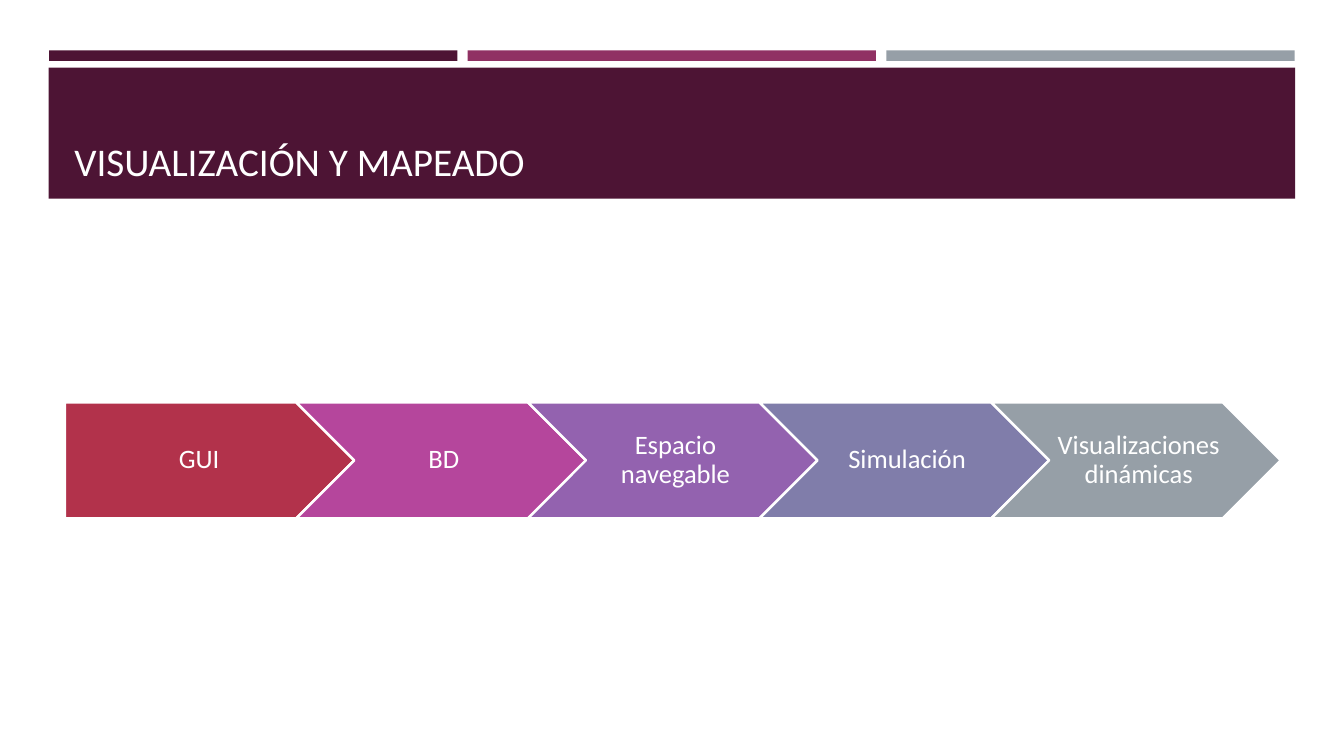
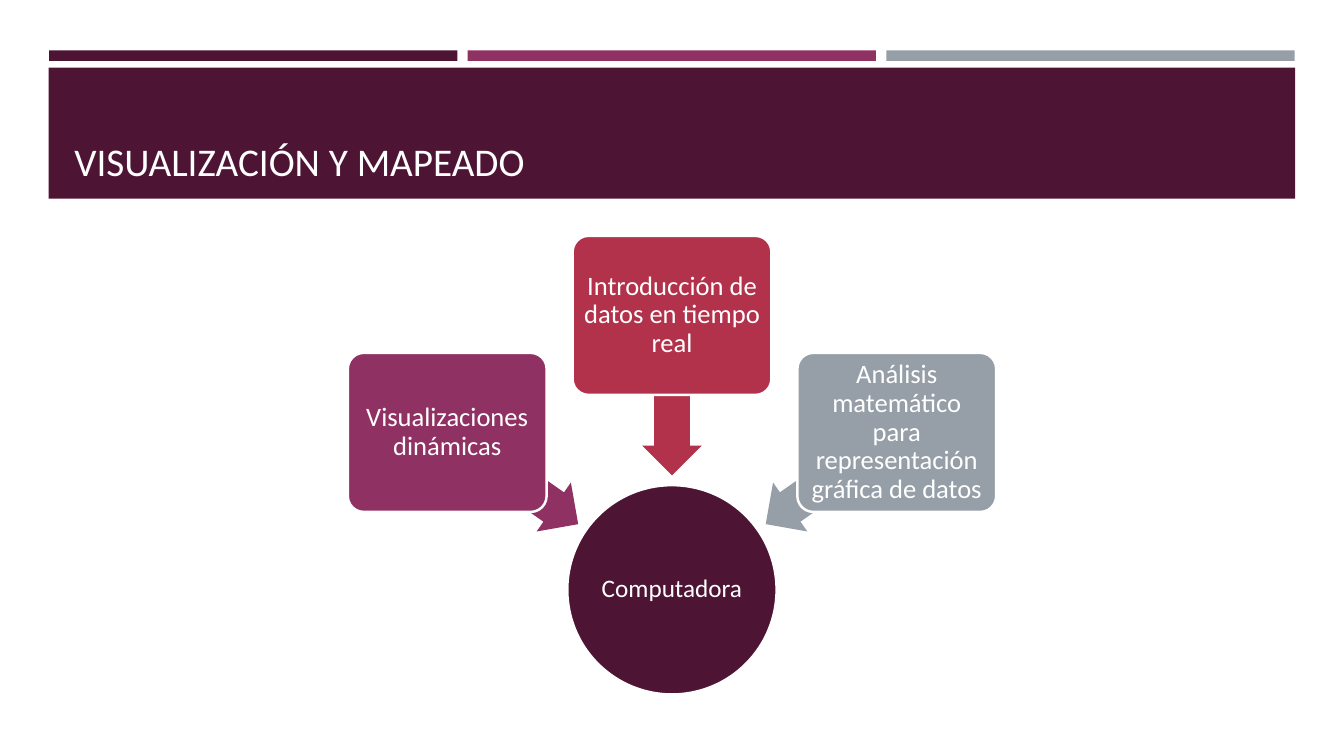
from math import cos, radians, sin

from pptx import Presentation
from pptx.dml.color import RGBColor
from pptx.enum.shapes import MSO_SHAPE
from pptx.enum.text import MSO_ANCHOR, PP_ALIGN
from pptx.util import Pt

RECT, ELLIPSE = MSO_SHAPE.RECTANGLE, MSO_SHAPE.OVAL
PENTAGON, CHEVRON = MSO_SHAPE.PENTAGON, MSO_SHAPE.CHEVRON
ROUNDED, LEFT_ARROW = MSO_SHAPE.ROUNDED_RECTANGLE, MSO_SHAPE.LEFT_ARROW
BOTTOM, MIDDLE = MSO_ANCHOR.BOTTOM, MSO_ANCHOR.MIDDLE
LEFT, CENTER = PP_ALIGN.LEFT, PP_ALIGN.CENTER

PLUM, BERRY, GRAY, RED = "4D1434", "903163", "969FA7", "B2324B"
ORCHID, VIOLET, SLATE, WHITE = "B5469C", "9362AF", "807DAA", "FFFFFF"


def rgb(color):
    return RGBColor.from_string(color)


class Deck:
    """Hold the shared style and the current slide."""

    font = "Calibri"
    outline = 1.75

    def __init__(self):
        self.prs = Presentation()
        self.prs.slide_width, self.prs.slide_height = Pt(960), Pt(540)
        self.slide = None

    def new_slide(self, title):
        self.slide = self.prs.slides.add_slide(self.prs.slide_layouts[6])
        for i, color in enumerate((PLUM, BERRY, GRAY)):
            self.shape(RECT, 35.1 + i * 299, 36, 291.6, 7.5, color)
        self.shape(RECT, 34.8, 48.4, 890.4, 93.6, PLUM)
        heading = self.slide.shapes.add_textbox(Pt(46), Pt(55.4), Pt(868), Pt(80))
        self.label(heading, title, 28, (7.2, 3.6, 7.2, 3.6), LEFT, BOTTOM, 1)

    def shape(self, kind, x, y, width, height, color, outlined=False):
        shape = self.slide.shapes.add_shape(kind, Pt(x), Pt(y), Pt(width), Pt(height))
        shape.shadow.inherit = False
        shape.fill.solid()
        shape.fill.fore_color.rgb = rgb(color)
        if outlined:
            shape.line.color.rgb = rgb(WHITE)
            shape.line.width = Pt(self.outline)
        else:
            shape.line.fill.background()
        return shape

    def label(self, shape, text, size, insets, align=CENTER, anchor=MIDDLE, spacing=0.9):
        frame = shape.text_frame
        frame.word_wrap = True
        frame.vertical_anchor = anchor
        (frame.margin_left, frame.margin_top,
         frame.margin_right, frame.margin_bottom) = map(Pt, insets)
        frame.text = text
        paragraph = frame.paragraphs[0]
        paragraph.alignment = align
        paragraph.line_spacing = spacing
        font = paragraph.runs[0].font
        font.name, font.size = self.font, Pt(size)
        font.color.rgb = rgb(WHITE)

    def process(self, steps, x, y, width, height):
        for i, (text, color) in enumerate(steps):
            kind, inset = (CHEVRON, 5.8) if i else (PENTAGON, 7.9)
            step = self.shape(kind, x + i * width * 0.8, y, width, height, color, True)
            self.label(step, text, 19, (inset, 4, 2, 4))

    def hub(self, text, x, y, diameter):
        hub = self.shape(ELLIPSE, x - diameter / 2, y - diameter / 2,
                         diameter, diameter, PLUM, True)
        self.label(hub, text, 18, (0.9, 0.9, 0.9, 0.9))

    def spoke(self, text, color, x, y, angle):
        def radial(kind, distance, width, height, outlined):
            left = x + distance * cos(radians(angle)) - width / 2
            top = y + distance * sin(radians(angle)) - height / 2
            return self.shape(kind, left, top, width, height, color, outlined)

        arrow = radial(LEFT_ARROW, 139, 114.5, 42.7, False)
        arrow.adjustments[0], arrow.adjustments[1] = 0.6, 0.5
        arrow.rotation = angle
        source = radial(ROUNDED, 196, 142, 113.6, True)
        source.adjustments[0] = 0.1
        self.label(source, text, 19, (2.7, 2.7, 2.7, 2.7))


def main():
    deck = Deck()
    title = "VISUALIZACIÓN Y MAPEADO"

    deck.new_slide(title)
    deck.process([
        ("GUI", RED),
        ("BD", ORCHID),
        ("Espacio navegable", VIOLET),
        ("Simulación", SLATE),
        ("Visualizaciones dinámicas", GRAY),
    ], 46.3, 287.5, 206.8, 82.7)

    deck.new_slide(title)
    center_x, center_y = 480, 421.3
    deck.hub("Computadora", center_x, center_y, 149.5)
    for text, color, angle in (
        ("Visualizaciones dinámicas", BERRY, 215),
        ("Introducción de datos en tiempo real", RED, 270),
        ("Análisis matemático para representación gráfica de datos", GRAY, 325),
    ):
        deck.spoke(text, color, center_x, center_y, angle)

    deck.prs.save("out.pptx")


if __name__ == "__main__":
    main()
